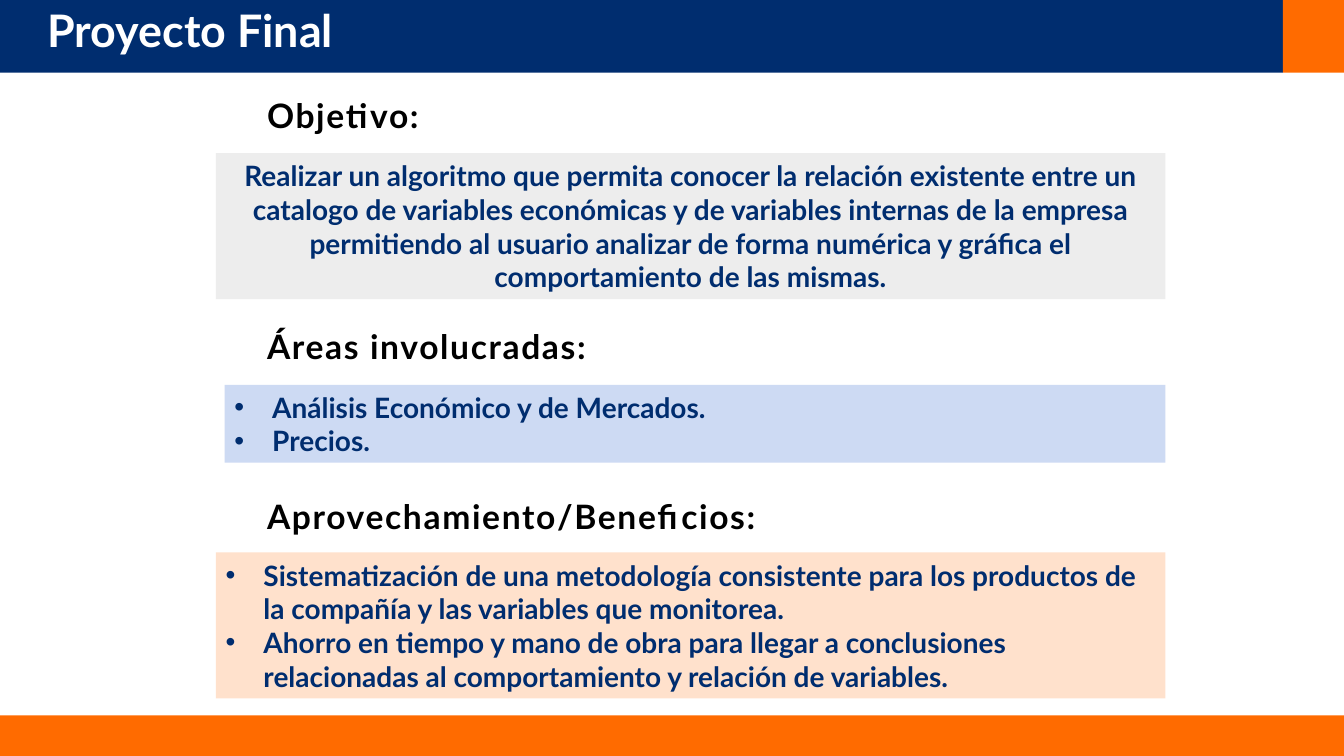
from lxml.etree import SubElement
from pptx import Presentation
from pptx.dml.color import RGBColor
from pptx.enum.shapes import MSO_SHAPE
from pptx.enum.text import MSO_ANCHOR, PP_ALIGN
from pptx.oxml.ns import qn
from pptx.util import Cm, Pt

NAVY, ORANGE = "002D6F", "FF6B00"
WIDE, HIGH = 33.87, 19.05
SPLIT, HEAD = 32.33, 1.83
RIGHT = 29.37


def tint(hue):
    """Turn a hex string into a colour."""
    return RGBColor.from_string(hue)


class Deck:
    body = {"name": "Lato", "size": Pt(20), "bold": True}
    label = {**body, "size": Pt(24)}
    title = {**body, "size": Pt(32)}
    indent = 0.95

    def __init__(self, show):
        self.slide = show.slides.add_slide(show.slide_layouts[6])

    def block(self, left, top, width, height, fill):
        shape = self.slide.shapes.add_shape(
            MSO_SHAPE.RECTANGLE, Cm(left), Cm(top), Cm(width), Cm(height))
        shape.shadow.inherit = False
        shape.fill.solid()
        shape.fill.fore_color.rgb = tint(fill)
        shape.line.fill.background()
        return shape

    def text(self, left, top, width, height, words, style, hue):
        box = self.slide.shapes.add_textbox(
            Cm(left), Cm(top), Cm(width), Cm(height))
        self.fill_text(box, [words], style, hue)
        return box

    def fill_text(self, shape, lines, style, hue,
                  align=PP_ALIGN.LEFT, dots=False):
        frame = shape.text_frame
        frame.word_wrap = True
        frame.vertical_anchor = MSO_ANCHOR.MIDDLE
        for num, words in enumerate(lines):
            para = frame.add_paragraph() if num else frame.paragraphs[0]
            para.alignment = align
            if dots:
                self.bullet(para)
            run = para.add_run()
            run.text = words
            for key, value in style.items():
                setattr(run.font, key, value)
            run.font.color.rgb = tint(hue)

    def bullet(self, para):
        props = para._p.get_or_add_pPr()
        props.set("marL", str(Cm(self.indent)))
        props.set("indent", str(-Cm(self.indent)))
        SubElement(props, qn("a:buFont")).set("typeface", "Arial")
        SubElement(props, qn("a:buChar")).set("char", "•")

    def heading(self, top, width, words):
        box = self.text(6.48, top, width, 1.27, words, self.label, "000000")
        run = box.text_frame.paragraphs[0].runs[0]
        run._r.get_or_add_rPr().set("spc", "120")

    def panel(self, left, top, height, fill, lines, **layout):
        shape = self.block(left, top, RIGHT - left, height, fill)
        self.fill_text(shape, lines, self.body, NAVY, **layout)


def main():
    show = Presentation()
    show.slide_width, show.slide_height = Cm(WIDE), Cm(HIGH)
    deck = Deck(show)

    deck.block(0, 18.03, WIDE, HIGH - 18.03, ORANGE)
    deck.block(0, 0, SPLIT, HEAD, NAVY)
    deck.block(SPLIT, 0, WIDE - SPLIT, HEAD, ORANGE)
    title = deck.text(0.94, 0.15, 26.54, 1.37, "Proyecto Final",
                      deck.title, "FFFFFF")
    title.text_frame.paragraphs[0].line_spacing = 0.9

    deck.heading(2.26, 7.72, "Objetivo:")
    deck.panel(5.44, 3.86, 3.68, "EDEDED", [
        "Realizar un algoritmo que permita conocer la relación existente "
        "entre un catalogo de variables económicas y de variables internas "
        "de la empresa permitiendo al usuario analizar de forma numérica y "
        "gráfica el comportamiento de las mismas.",
    ], align=PP_ALIGN.CENTER)

    deck.heading(8.08, 10.41, "Áreas involucradas:")
    deck.panel(5.66, 9.7, 1.96, "CDDAF3", [
        "Análisis Económico y de Mercados.",
        "Precios.",
    ], dots=True)

    deck.heading(12.37, 15.11, "Aprovechamiento/Beneficios:")
    deck.panel(5.44, 13.92, 3.68, "FFE1CC", [
        "Sistematización de una metodología consistente para los productos "
        "de la compañía y las variables que monitorea.",
        "Ahorro en tiempo y mano de obra para llegar a conclusiones "
        "relacionadas al comportamiento y relación de variables.",
    ], dots=True)

    show.save("out.pptx")


if __name__ == "__main__":
    main()
